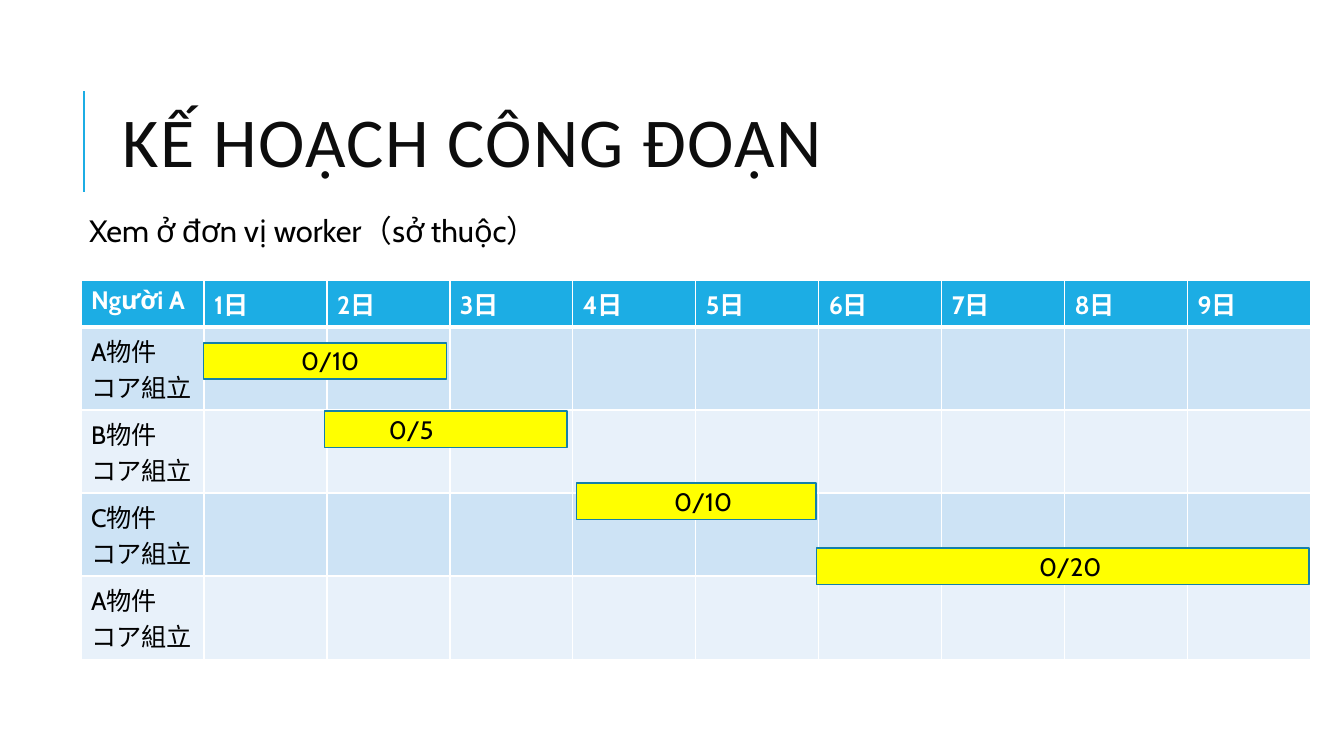
from dataclasses import dataclass
from typing import Any

from lxml.etree import SubElement
from pptx import Presentation
from pptx.dml.color import RGBColor as Rgb
from pptx.enum.shapes import MSO_CONNECTOR as Link, MSO_SHAPE as Kind
from pptx.enum.text import MSO_ANCHOR as Anchor, MSO_AUTO_SIZE as Fit
from pptx.oxml.ns import qn
from pptx.util import Pt

INK = {"title": "0D0D0D", "text": "000000", "white": "FFFFFF", "head": "1CADE4",
       "dark": "CDE3F5", "light": "E8F1FA", "bar": "FFFF00", "edge": "1580A9"}
DAYS = 9
COL = 87.84
ROW = 29.5
BAR = 25.9
TASKS = ["A物件", "B物件", "C物件", "A物件"]
STEP = "コア組立"
BASE = {"name": "Cabin", "size": Pt(18), "bold": False}


@dataclass
class Bar:
    """A work span; label is placed by its own left edge and width."""
    left: float
    top: float
    width: float
    text: str
    start: float
    room: float


BARS = [
    Bar(145.4, 244.8, 173.5, "0/10", 208.1, 64.8),
    Bar(231.8, 293.8, 173.5, "0/5", 270.7, 95.8),
    Bar(411.8, 345.3, 170.9, "0/10", 474.5, 64.8),
    Bar(583.2, 391.7, 352.1, "0/20", 735.1, 69.8),
]


def tint(key: str) -> Rgb:
    return Rgb.from_string(INK[key])


def put(item: Any, form: dict[str, Any]) -> None:
    for name, value in form.items():
        setattr(item, name, value)


def place(item: Any, left: float, top: float, width: float, height: float) -> None:
    put(item, {"left": Pt(left), "top": Pt(top), "width": Pt(width), "height": Pt(height)})


def paint(fill: Any, key: str) -> None:
    fill.solid()
    fill.fore_color.rgb = tint(key)


def write(frame: Any, lines: list[str], key: str, **form: Any) -> None:
    frame.text = "\n".join(lines)
    for para in frame.paragraphs:
        for run in para.runs:
            put(run.font, BASE | form)
            run.font.color.rgb = tint(key)


def border(cell: Any, base: float) -> None:
    """Draw white cell edges, with the bottom one of the given width."""
    props = cell._tc.get_or_add_tcPr()
    sides = {"lnL": 1, "lnR": 1, "lnT": 1, "lnB": base}
    for spot, (tag, size) in enumerate(sides.items()):
        line = SubElement(props, qn(f"a:{tag}"), w=str(Pt(size)))
        fill = SubElement(line, qn("a:solidFill"))
        SubElement(fill, qn("a:srgbClr"), val=INK["white"])
        props.insert(spot, line)


def draw_rule(slide: Any) -> None:
    rule = slide.shapes.add_connector(Link.STRAIGHT, Pt(60), Pt(137), Pt(60), Pt(65))
    rule.line.color.rgb = tint("head")
    rule.line.width = Pt(1.5)
    SubElement(rule._element.spPr, qn("a:effectLst"))


def draw_title(slide: Any) -> None:
    title = slide.shapes.title
    place(title, 80.6, 46, 765.4, 118)
    frame = title.text_frame
    put(frame, {"vertical_anchor": Anchor.MIDDLE, "word_wrap": True, "auto_size": Fit.NONE})
    write(frame, ["KẾ HOẠCH CÔNG ĐOẠN"], "title", name="Calibri", size=Pt(50))
    para = frame.paragraphs[0]
    put(para, {"alignment": 1, "line_spacing": 0.8})
    para.runs[0].font._element.set("spc", "100")


def draw_body(slide: Any) -> None:
    body = slide.placeholders[1]
    place(body, 60, 150.5, 765.4, 316.8)
    frame = body.text_frame
    sides = ("left", "right", "top", "bottom")
    put(frame, {f"margin_{side}": Pt(3.6) for side in sides})
    put(frame, {"word_wrap": True, "auto_size": Fit.NONE})
    write(frame, ["Xem ở đơn vị worker（sở thuộc）"], "text", size=Pt(22))
    para = frame.paragraphs[0]
    props = para._p.get_or_add_pPr()
    put(para, {"line_spacing": 0.9, "space_before": Pt(0), "space_after": Pt(2)})
    SubElement(props, qn("a:buNone"))
    props.set("marL", "0")
    props.set("indent", "0")


def draw_plan(slide: Any) -> None:
    count = len(TASKS) + 1
    frame = slide.shapes.add_table(count, DAYS + 1, Pt(57.9), Pt(200.2),
                                   Pt(COL * (DAYS + 1)), Pt(ROW * count))
    plan = frame.table
    for col in plan.columns:
        col.width = Pt(COL)
    for row in plan.rows:
        row.height = Pt(ROW)
    for r in range(count):
        key = "head" if r == 0 else ("dark" if r % 2 else "light")
        for c in range(DAYS + 1):
            cell = plan.cell(r, c)
            paint(cell.fill, key)
            border(cell, 1 if r else 3)
            if r == 0:
                label = f"{c}日" if c else "Người A"
                write(cell.text_frame, [label], "white", bold=True)
            elif c == 0:
                write(cell.text_frame, [TASKS[r - 1], STEP], "text")


def draw_bar(slide: Any, bar: Bar) -> None:
    group = slide.shapes.add_group_shape()
    block = group.shapes.add_shape(Kind.RECTANGLE, Pt(bar.left), Pt(bar.top),
                                   Pt(bar.width), Pt(BAR))
    block.shadow.inherit = False
    paint(block.fill, "bar")
    block.line.color.rgb = tint("edge")
    block.line.width = Pt(1.25)
    label = group.shapes.add_textbox(Pt(bar.start), Pt(bar.top - 1.4),
                                     Pt(bar.room), Pt(29))
    put(label.text_frame, {"word_wrap": True, "auto_size": Fit.SHAPE_TO_FIT_TEXT})
    write(label.text_frame, [bar.text], "text")


def main() -> None:
    deck = Presentation()
    put(deck, {"slide_width": Pt(960), "slide_height": Pt(540)})
    slide = deck.slides.add_slide(deck.slide_layouts[1])
    draw_rule(slide)
    draw_title(slide)
    draw_body(slide)
    draw_plan(slide)
    for bar in BARS:
        draw_bar(slide, bar)
    deck.save("out.pptx")


if __name__ == "__main__":
    main()
